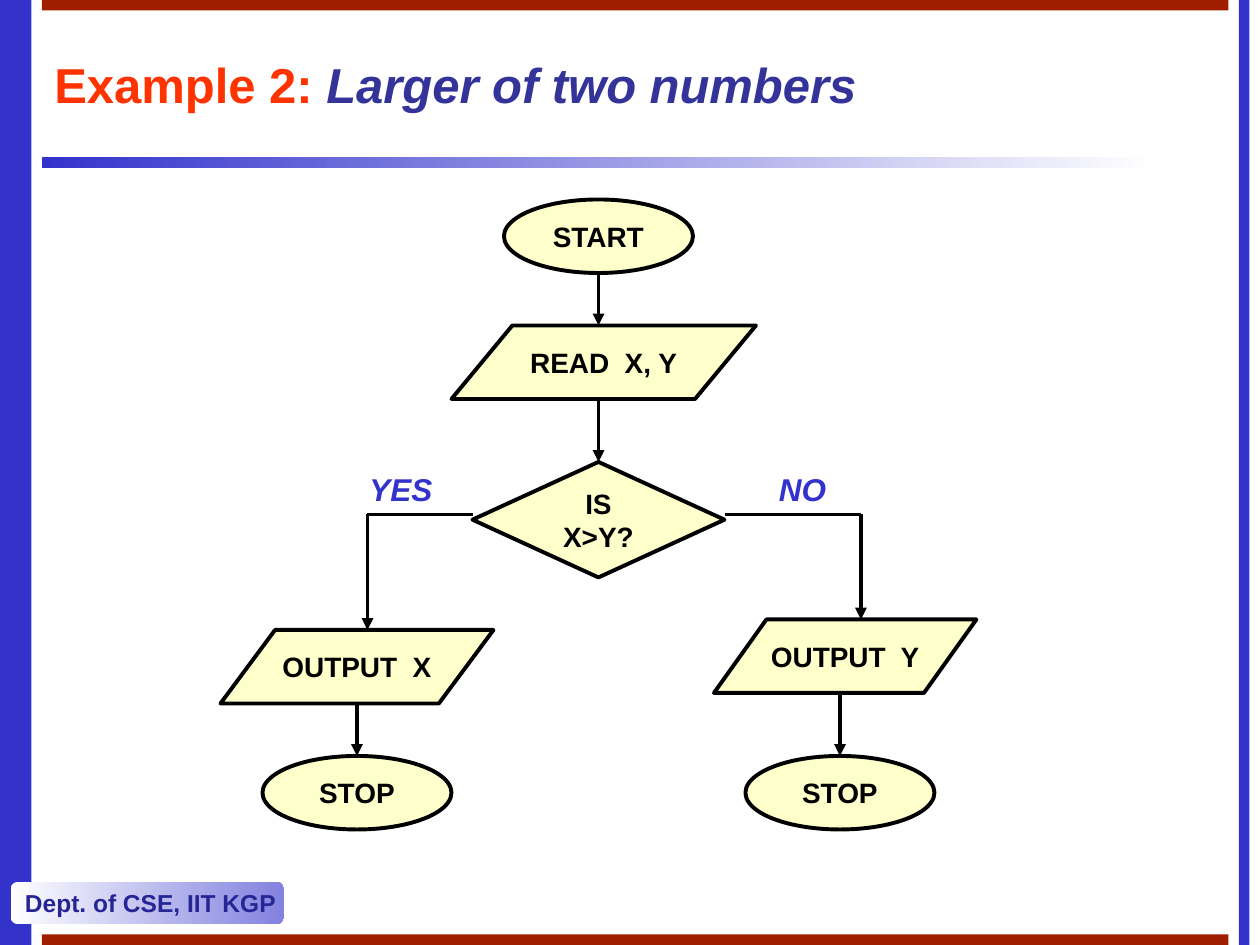
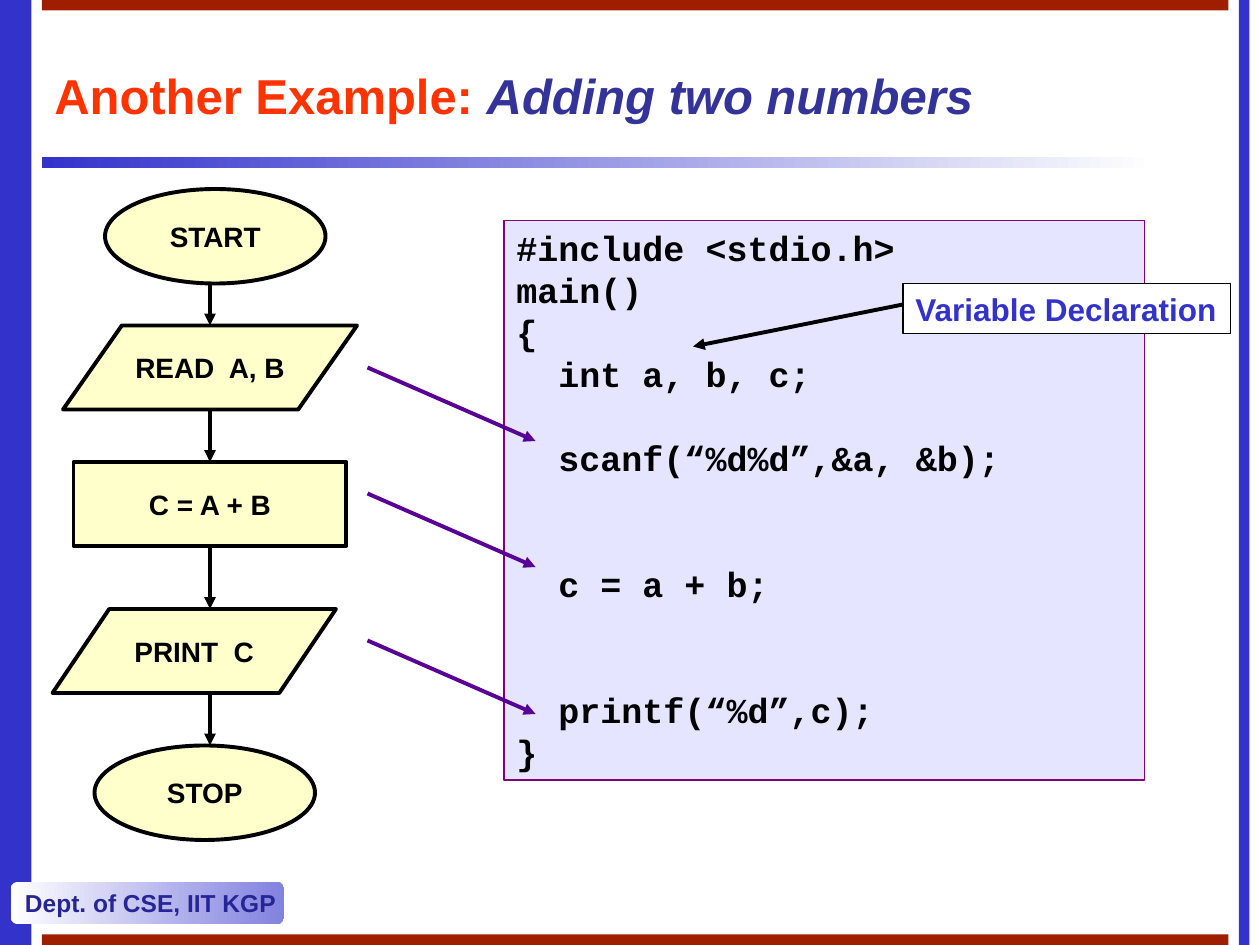
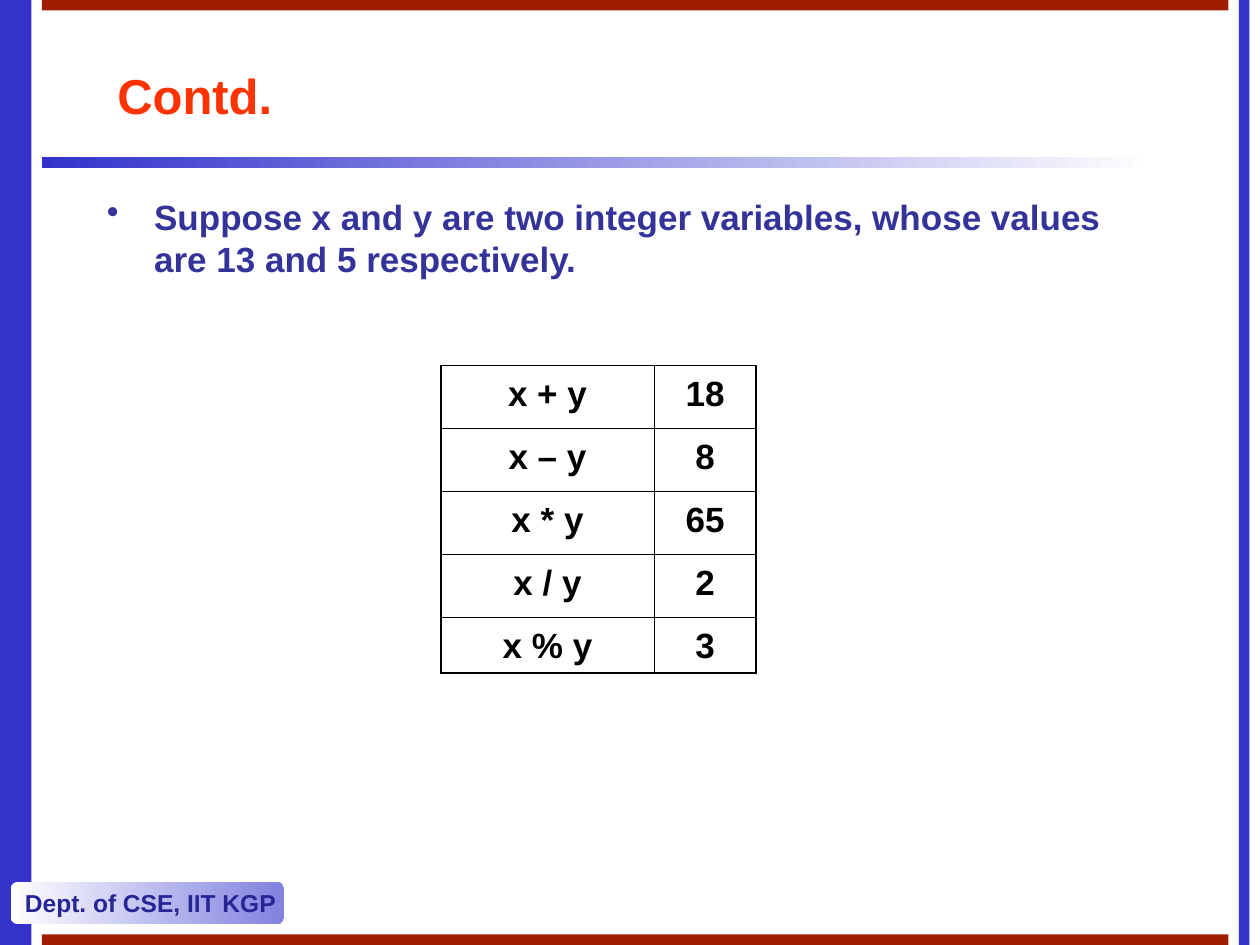
import lxml.etree
import pptx
import pptx.dml.color
import pptx.enum.shapes
import pptx.enum.text
import pptx.oxml.ns
import pptx.util

EMU_PER_PX = 7620  # 120 px to the inch
SHAPE = pptx.enum.shapes.MSO_SHAPE
ALIGN = pptx.enum.text.PP_ALIGN
ANCHOR = pptx.enum.text.MSO_ANCHOR
COLORS = {
    "blue": "3333CC",
    "red": "A01E00",
    "white": "FFFFFF",
    "lavender": "8282E0",
    "footer": "252595",
    "title": "FF3300",
    "navy": "333399",
    "cream": "FFFFCC",
    "black": "000000",
    "code": "E5E5FF",
    "purple": "800080",
    "violet": "590096",
}


def px(length):
    return pptx.util.Emu(length * EMU_PER_PX)


def rgb(name):
    return pptx.dml.color.RGBColor.from_string(COLORS[name])


def add_xml(parent, tag, **attributes):
    return lxml.etree.SubElement(parent, pptx.oxml.ns.qn(tag), **attributes)


def write_span(para, text, size=16, color="black", bold=True, italic=False, font="Arial"):
    span = para.add_run()
    span.text = text
    span.font.name = font
    span.font.size = pptx.util.Pt(size)
    span.font.bold = bold
    span.font.italic = italic
    span.font.color.rgb = rgb(color)
    para.line_spacing = pptx.util.Pt(round(size * 1.2, 1))


def write_text(frame, text, align=ALIGN.LEFT, anchor=ANCHOR.TOP, wrap=True, gaps=None, **style):
    """Write one paragraph per line; gaps maps a line index to the points before it."""
    frame.word_wrap = wrap
    frame.vertical_anchor = anchor
    for index, line in enumerate(text.split("\n")):
        para = frame.add_paragraph() if index else frame.paragraphs[0]
        para.alignment = align
        if gaps and index in gaps:
            para.space_before = pptx.util.Pt(gaps[index])
        write_span(para, line, **style)


class SlideBuilder:
    def __init__(self, deck):
        self.deck = deck
        self.page = None

    def start_page(self, title, top, height, left=40, width=1130, subtitle=None):
        self.page = self.deck.slides.add_slide(self.deck.slide_layouts[6])
        self.shape(SHAPE.RECTANGLE, 0, 0, 30, 900, "blue")
        self.shape(SHAPE.RECTANGLE, 40, 150, 1060, 10, ("blue", "white"))
        footer = self.shape(SHAPE.ROUNDED_RECTANGLE, 10, 840, 260, 40, ("white", "lavender"))
        write_text(footer.text_frame, "Dept. of CSE, IIT KGP", anchor=ANCHOR.MIDDLE,
                   wrap=False, size=14, color="footer")
        self.shape(SHAPE.RECTANGLE, 1180, 0, 10, 900, "blue")
        for band_top in (0, 890):
            self.shape(SHAPE.RECTANGLE, 40, band_top, 1130, 10, "red")
        box = self.text(title, left, top, width, height, anchor=ANCHOR.MIDDLE,
                        size=28, color="title")
        if subtitle:
            write_span(box.text_frame.paragraphs[0], subtitle, size=28, color="navy", italic=True)

    def shape(self, kind, left, top, width, height, fill, line=None, weight=0.75):
        """Draw a preset shape; a pair of colours as fill gives a left-to-right gradient."""
        shape = self.page.shapes.add_shape(kind, px(left), px(top), px(width), px(height))
        shape.shadow.inherit = False
        if isinstance(fill, tuple):
            shape.fill.gradient()
            shape.fill.gradient_angle = 0
            for stop, color in zip(shape.fill.gradient_stops, fill):
                stop.color.rgb = rgb(color)
        else:
            shape.fill.solid()
            shape.fill.fore_color.rgb = rgb(fill)
        if line:
            shape.line.color.rgb = rgb(line)
            shape.line.width = pptx.util.Pt(weight)
        else:
            shape.line.fill.background()
        return shape

    def text(self, text, left, top, width, height, **style):
        box = self.page.shapes.add_textbox(px(left), px(top), px(width), px(height))
        write_text(box.text_frame, text, **style)
        return box

    def bullet(self, text, left, top, width, height, **style):
        box = self.text(text, left, top, width, height, color="navy", **style)
        for para in box.text_frame.paragraphs:
            properties = para._p.get_or_add_pPr()
            properties.set("marL", str(px(45)))
            properties.set("indent", str(-px(45)))
            add_xml(add_xml(properties, "a:buClr"), "a:srgbClr", val=COLORS["navy"])
            add_xml(properties, "a:buChar", char="•")

    def node(self, kind, text, left, top, width, height):
        """Draw one flowchart step."""
        node = self.shape(kind, left, top, width, height, "cream", "black", 2.25)
        write_text(node.text_frame, text, align=ALIGN.CENTER, anchor=ANCHOR.MIDDLE, wrap=False)

    def line(self, start, end, color="black", arrow=True):
        line = self.page.shapes.add_connector(
            pptx.enum.shapes.MSO_CONNECTOR.STRAIGHT, *(px(value) for value in (*start, *end)))
        line.line.color.rgb = rgb(color)
        line.line.width = pptx.util.Pt(2.25)
        if arrow:
            add_xml(line.line._get_or_add_ln(), "a:tailEnd", type="triangle")
        add_xml(line._element.spPr, "a:effectLst")

    def table(self, rows, left, top, widths, heights, size):
        frame = self.page.shapes.add_table(
            len(rows), len(widths), px(left), px(top), px(sum(widths)), px(sum(heights)))
        table = frame.table
        table.first_row = table.horz_banding = False
        for column, width in zip(table.columns, widths):
            column.width = px(width)
        for row, height in zip(table.rows, heights):
            row.height = px(height)
        last_row, last_column = len(rows) - 1, len(widths) - 1
        for r, row in enumerate(rows):
            for c, value in enumerate(row):
                cell = table.cell(r, c)
                write_text(cell.text_frame, value, align=ALIGN.CENTER, size=size)
                outer = {"L": c == 0, "R": c == last_column, "T": r == 0, "B": r == last_row}
                for side, is_outer in outer.items():
                    weight = pptx.util.Pt(1.08 if is_outer else 0.45)
                    border = add_xml(cell._tc.get_or_add_tcPr(), f"a:ln{side}", w=str(weight))
                    add_xml(add_xml(border, "a:solidFill"), "a:srgbClr", val=COLORS["black"])
                cell.fill.background()


def build_larger_number(builder):
    builder.start_page("Example 2: ", 20, 120, width=1020, subtitle="Larger of two numbers")
    for kind, text, left, top, width, height in (
        (SHAPE.OVAL, "START", 480, 190, 180, 70),
        (SHAPE.FLOWCHART_DATA, "READ  X, Y", 430, 310, 290, 70),
        (SHAPE.FLOWCHART_DECISION, "IS\nX>Y?", 450, 440, 240, 110),
        (SHAPE.FLOWCHART_DATA, "OUTPUT  X", 210, 600, 260, 70),
        (SHAPE.FLOWCHART_DATA, "OUTPUT  Y", 680, 590, 250, 70),
        (SHAPE.OVAL, "STOP", 250, 720, 180, 70),
        (SHAPE.OVAL, "STOP", 710, 720, 180, 70),
    ):
        builder.node(kind, text, left, top, width, height)
    for x, top, bottom in ((570, 260, 310), (570, 380, 440), (820, 490, 590),
                           (350, 490, 600), (800, 660, 720), (340, 670, 720)):
        builder.line((x, top), (x, bottom))
    for start, end in ((690, 820), (450, 350)):
        builder.line((start, 490), (end, 490), arrow=False)
    for answer, left in (("YES", 340), ("NO", 730)):
        builder.text(answer, left, 442, 140, 48, size=18, color="blue", italic=True)


def build_adding_numbers(builder):
    builder.start_page("Another Example: ", 40, 100, subtitle="Adding two numbers")
    steps = (
        (SHAPE.OVAL, "START", 100, 180, 210, 90),
        (SHAPE.FLOWCHART_DATA, "READ  A, B", 60, 310, 280, 80),
        (SHAPE.RECTANGLE, "C = A + B", 70, 440, 260, 80),
        (SHAPE.FLOWCHART_DATA, "PRINT  C", 50, 580, 270, 80),
        (SHAPE.OVAL, "STOP", 90, 710, 210, 90),
    )
    for step in steps:
        builder.node(*step)
    for (*_, top, _, height), (*_, next_top, _, _) in zip(steps, steps[1:]):
        builder.line((200, top + height), (200, next_top))

    code = """#include <stdio.h>
main()
{
  int a, b, c;
  scanf(“%d%d”,&a, &b);
  c = a + b;
  printf(“%d”,c);
}"""
    listing = builder.shape(SHAPE.RECTANGLE, 480, 210, 610, 533, "code", "purple")
    write_text(listing.text_frame, code, gaps={4: 24, 5: 48, 6: 48}, size=20, font="Courier New")
    label = builder.shape(SHAPE.RECTANGLE, 860, 270, 312, 48, "white", "black")
    write_text(label.text_frame, "Variable Declaration", wrap=False, size=18, color="blue")
    builder.line((860, 290), (660, 330))
    for top in (350, 470, 610):
        builder.line((350, top), (510, top + 70), "violet")


def build_arithmetic(builder):
    builder.start_page("Contd.", 40, 100, left=100, width=1020)
    builder.bullet("Suppose x and y are two integer variables, whose values are 13 and 5 "
                   "respectively.", 90, 180, 1020, 640, size=20)
    results = (("x + y", "18"), ("x – y", "8"), ("x * y", "65"), ("x / y", "2"), ("x % y", "3"))
    builder.table(results, 420, 348, widths=(203, 97), heights=(60, 60, 60, 60, 53), size=20)


def main():
    deck = pptx.Presentation()
    deck.slide_width, deck.slide_height = px(1200), px(900)
    builder = SlideBuilder(deck)
    build_larger_number(builder)
    build_adding_numbers(builder)
    build_arithmetic(builder)
    deck.save("out.pptx")


if __name__ == "__main__":
    main()
